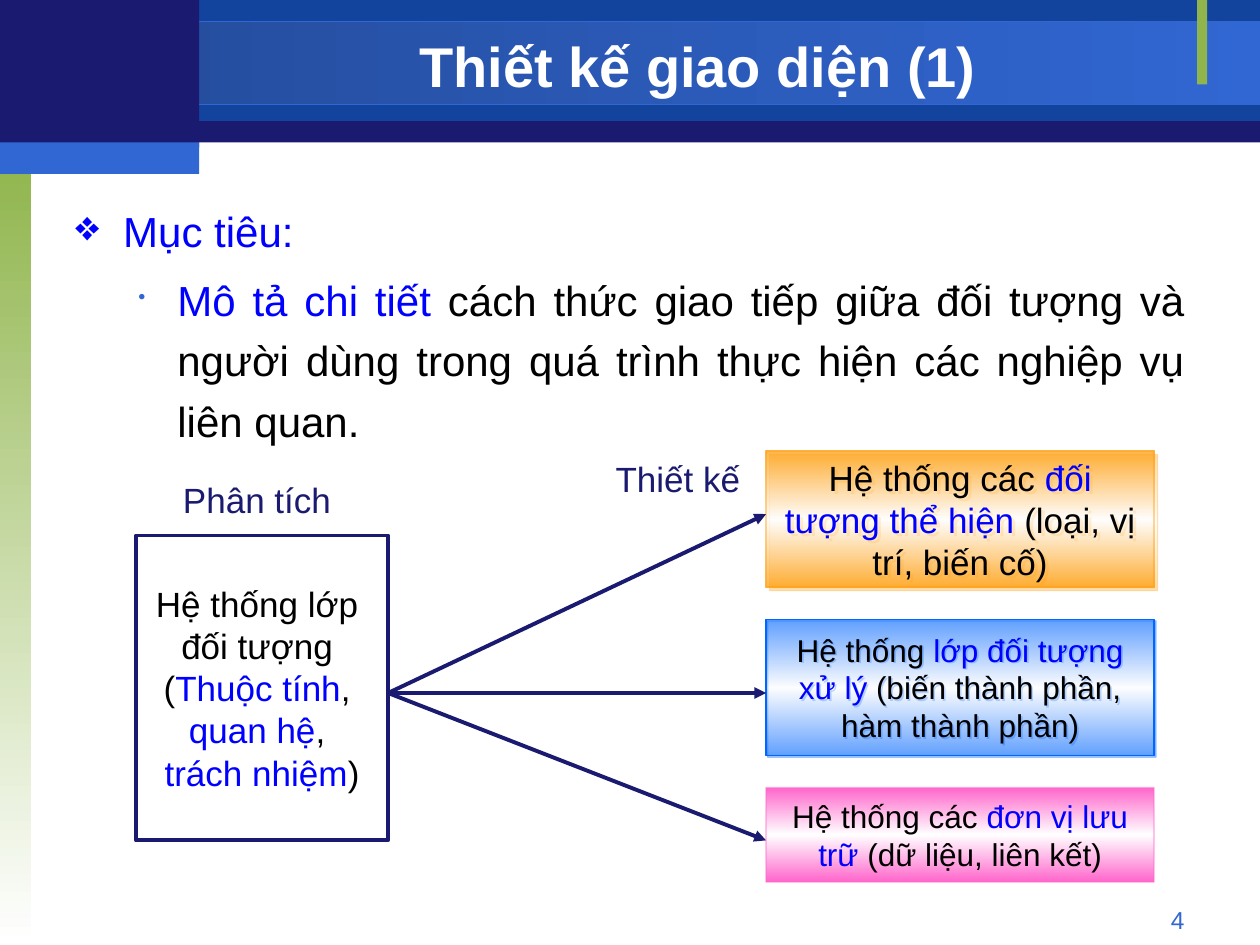
from lxml import etree
from pptx import Presentation
from pptx import util as u
from pptx.dml.color import RGBColor
from pptx.enum import shapes, text
from pptx.oxml.ns import qn

NAVY, DEEP, BLUE, GREEN = "1A1A70", "12449E", "3167D3", "90B54D"
BLACK, WHITE, KEY = "000000", "FFFFFF", "0000FF"
CENTER, RIGHT, JUSTIFY = (text.PP_ALIGN.CENTER, text.PP_ALIGN.RIGHT,
                          text.PP_ALIGN.JUSTIFY)
MIDDLE = text.MSO_ANCHOR.MIDDLE


def rgb(value):
    return RGBColor.from_string(value)


def box_of(box):
    return [u.Inches(v) for v in box]


def set_all(obj, values):
    for name, value in values.items():
        setattr(obj, name, value)


def sub(parent, tag, **attrs):
    return etree.SubElement(parent, qn(tag), {k: str(v) for k, v in attrs.items()})


def color_xml(parent, color, alpha=100):
    clr = sub(parent, "a:srgbClr", val=color)
    if alpha < 100:
        sub(clr, "a:alpha", val=alpha * 1000)


def gradient(sp, colors, angle, alpha=100):
    sp.fill.gradient()
    sp.fill.gradient_angle = (360 - angle) % 360
    stops = sp.element.spPr.find(qn("a:gradFill")).find(qn("a:gsLst"))
    for stop in list(stops):
        stops.remove(stop)
    for i, color in enumerate(colors):
        pos = 100000 * i // (len(colors) - 1)
        color_xml(sub(stops, "a:gs", pos=pos), color, alpha)


def outline(sp, color, width, alpha=100):
    sp.line.color.rgb = rgb(color)
    sp.line.width = u.Pt(width)
    if alpha < 100:
        clr = sp.element.spPr.find(qn("a:ln")).find(".//" + qn("a:srgbClr"))
        sub(clr, "a:alpha", val=alpha * 1000)


def shadow(sp, color, dist):
    effects = sp.element.spPr.find(qn("a:effectLst"))
    outer = sub(effects, "a:outerShdw", dist=u.Pt(dist), dir=45 * 60000,
                algn="ctr", rotWithShape=0)
    color_xml(outer, color, 50)


def rect(s, box, fill=None):
    sp = s.shapes.add_shape(shapes.MSO_SHAPE.RECTANGLE, *box_of(box))
    sp.shadow.inherit = False
    sp.line.fill.background()
    if fill:
        sp.fill.solid()
        sp.fill.fore_color.rgb = rgb(fill)
    else:
        sp.fill.background()
    return sp


def write(tf, paragraphs, size, align=CENTER, **frame):
    set_all(tf, {"word_wrap": True, "auto_size": text.MSO_AUTO_SIZE.NONE, **frame})
    for i, runs in enumerate(paragraphs):
        p = tf.paragraphs[0] if i == 0 else tf.add_paragraph()
        p.alignment = align
        for words, color in runs:
            r = p.add_run()
            r.text = words
            set_all(r.font, {"name": "Arial", "size": u.Pt(size)})
            r.font.color.rgb = rgb(color)


def label(s, box, words, size, color, align=CENTER):
    tf = s.shapes.add_textbox(*box_of(box)).text_frame
    write(tf, [[(words, color)]], size, align)


def bullet(p, char, margin, indent, color=None, size=None):
    pPr = p._p.get_or_add_pPr()
    pPr.set("marL", str(u.Inches(margin)))
    pPr.set("indent", str(u.Inches(indent)))
    if color:
        color_xml(sub(pPr, "a:buClr"), color)
    if size:
        sub(pPr, "a:buSzPct", val=size * 1000)
    sub(pPr, "a:buChar", char=char)


def arrow(s, start, end):
    cx = s.shapes.add_connector(shapes.MSO_CONNECTOR.STRAIGHT,
                                *box_of(start + end))
    outline(cx, NAVY, 2.25)
    sub(cx.element.spPr.find(qn("a:ln")), "a:tailEnd", type="triangle")
    sub(cx.element.spPr, "a:effectLst")


def banner(s, width, height):
    rect(s, (0, 0.01, width, 1.12), NAVY)
    rect(s, (1.58, 0, width - 1.58, 0.96), DEEP)
    strip = rect(s, (0, 0.17, width, 0.66))
    gradient(strip, ["234A97", BLUE], 0)
    outline(strip, BLUE, 0.75)
    gradient(rect(s, (0, 1.25, 0.25, height - 1.25)), [GREEN, WHITE], 90)
    rect(s, (9.5, 0, 0.08, 0.67), GREEN)
    rect(s, (0, 0, 1.58, 1.17), NAVY)
    rect(s, (0, 1.13, 1.58, 0.25), BLUE)


def title(s, box, words):
    sp = s.shapes.title
    s.shapes._spTree.append(sp.element)
    set_all(sp, dict(zip(("left", "top", "width", "height"), box_of(box))))
    write(sp.text_frame, [[(words, WHITE)]], 32, vertical_anchor=MIDDLE)
    sp.text_frame.paragraphs[0].runs[0].font.bold = True


def body(s, box):
    tf = s.shapes.add_textbox(*box_of(box)).text_frame
    write(tf, [
        [("Mục tiêu:", KEY)],
        [("Mô tả chi tiết", KEY),
         (" cách thức giao tiếp giữa đối tượng và người dùng trong quá trình "
          "thực hiện các nghiệp vụ liên quan.", BLACK)],
    ], 24, JUSTIFY)
    goal, detail = tf.paragraphs
    for p in (goal, detail):
        set_all(p, {"line_spacing": 1.2, "space_before": u.Pt(4.8)})
    detail.level = 1
    bullet(goal, "❖", 0.38, -0.38)
    bullet(detail, "•", 0.81, -0.31, BLUE, 50)


def analysis(s, box):
    sp = rect(s, box)
    outline(sp, NAVY, 2.25)
    write(sp.text_frame, [
        [("Hệ thống lớp ", BLACK)],
        [("đối tượng ", BLACK)],
        [("(", BLACK), ("Thuộc tính", KEY), (", ", BLACK)],
        [("quan hệ", KEY), (", ", BLACK)],
        [("trách nhiệm", KEY), (")", BLACK)],
    ], 20, vertical_anchor=MIDDLE, word_wrap=False)


def system(s, box, parts, size, color, alpha, line_alpha, dist):
    sp = rect(s, box)
    gradient(sp, [color, WHITE, color], 90, alpha)
    outline(sp, color, 0.75, line_alpha)
    if dist:
        shadow(sp, color, dist)
    write(sp.text_frame, [list(zip(parts, (BLACK, KEY, BLACK)))], size,
          vertical_anchor=MIDDLE)


def diagram(s, box):
    x, y, w, h = box
    left, right = x + 2, x + 5
    systems = [
        (1.08, ("Hệ thống các ", "đối tượng thể hiện", " (loại, vị trí, biến cố)"),
         20, "FF9900", 71, 60, 2.8),
        (1.08, ("Hệ thống ", "lớp đối tượng xử lý",
                " (biến thành phần, hàm thành phần)"), 18, "0066FF", 50, 100, 1.4),
        (0.75, ("Hệ thống các ", "đơn vị lưu trữ", " (dữ liệu, liên kết)"),
         18, "FF66CC", 100, 60, 0),
    ]
    for i, (height, *style) in enumerate(systems):
        system(s, (right, y + i * 1.335, w - 5, height), *style)
    analysis(s, (x, y + 0.67, 2, 2.42))
    for end in (0.5, 1.92, 3.09):
        arrow(s, (left, y + 1.92), (right, y + end))
    label(s, (x + 3.59, y, 1.42, 0.43), "Thiết kế", 20, NAVY)
    label(s, (x + 0.25, y + 0.17, 1.42, 0.43), "Phân tích", 20, NAVY)


def main():
    prs = Presentation()
    prs.slide_width, prs.slide_height = u.Inches(10), u.Inches(7.5)
    s = prs.slides.add_slide(prs.slide_layouts[5])
    banner(s, 10, 7.5)
    label(s, (7.17, 7.13, 2.33, 0.27), "4", 14, BLUE, RIGHT)
    title(s, (1.58, 0.23, 7.92, 0.58), "Thiết kế giao diện (1)")
    body(s, (0.5, 1.5, 9, 5.5))
    diagram(s, (1.08, 3.58, 8.08, 3.42))
    prs.save("out.pptx")


if __name__ == "__main__":
    main()
